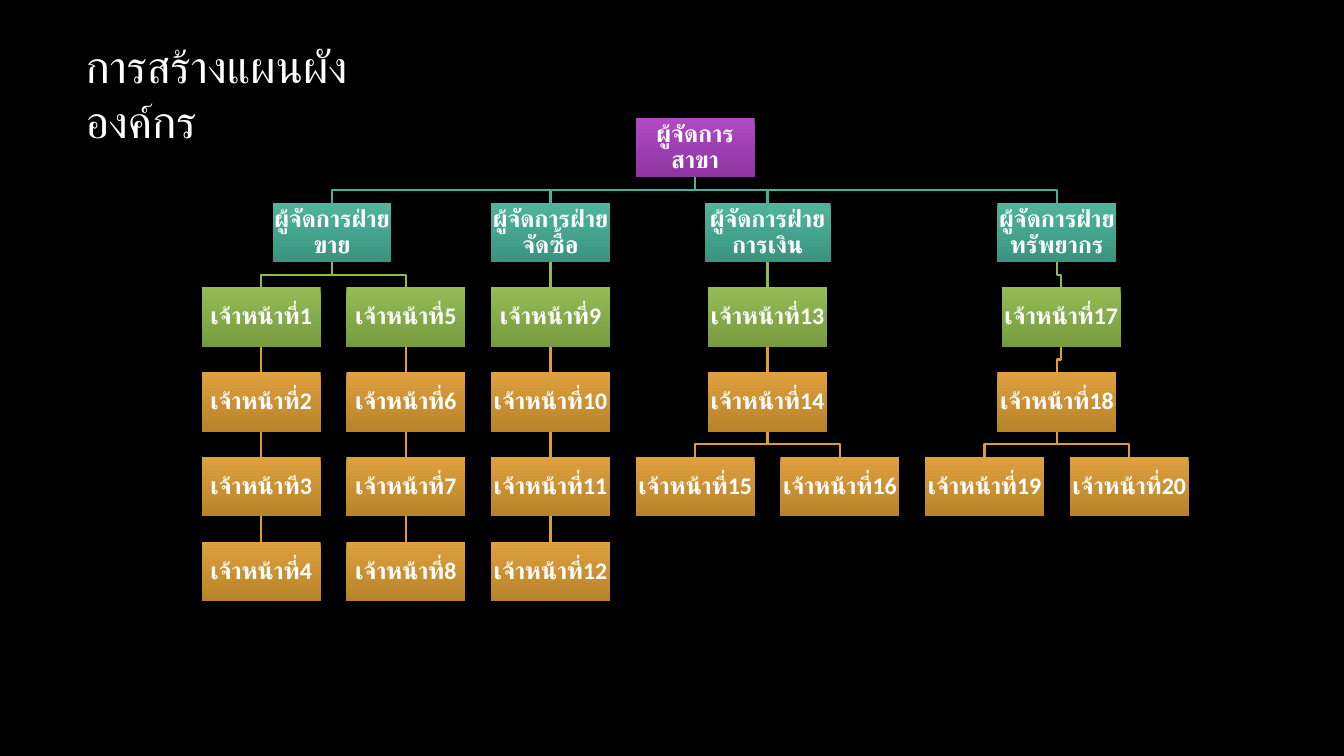
from lxml import etree
from pptx import Presentation
from pptx import util as u
from pptx.dml.color import RGBColor
from pptx.enum import shapes, text
from pptx.oxml.ns import qn

FONT = "Calibri"
BLACK = RGBColor(0x00, 0x00, 0x00)
WHITE = RGBColor(0xFF, 0xFF, 0xFF)
PURPLE = (RGBColor(0xAE, 0x4A, 0xC2), RGBColor(0x8F, 0x34, 0xA1))
TEAL = (RGBColor(0x50, 0xB4, 0x9B), RGBColor(0x3A, 0x94, 0x7F))
GREEN = (RGBColor(0x93, 0xBC, 0x55), RGBColor(0x78, 0x9B, 0x3F))
ORANGE = (RGBColor(0xDE, 0xA0, 0x40), RGBColor(0xB8, 0x83, 0x29))
TEAL_LINE = RGBColor(0x46, 0xB2, 0x98)
GREEN_LINE = RGBColor(0x90, 0xBA, 0x4C)
ORANGE_LINE = RGBColor(0xDD, 0x9D, 0x31)
LEVEL_FILLS = [PURPLE, TEAL, GREEN, ORANGE, ORANGE, ORANGE]
LEVEL_LINES = [None, TEAL_LINE, GREEN_LINE, ORANGE_LINE, ORANGE_LINE, ORANGE_LINE]

COLUMNS, ROWS = 7, 6
COLUMN_PITCH, ROW_PITCH = 1.435, 0.841
BOX_WIDTH, BOX_HEIGHT = 1.18, 0.59
WIDE_BOXES = {"ผู้จัดการฝ่ายการเงิน": 1.25}


def staff(number, column, *reports, prefix="เจ้าหน้าที่"):
    """Describe one numbered officer in a grid column."""
    return f"{prefix}{number}", column, reports


BRANCH = ("ผู้จัดการสาขา", 3, [
    ("ผู้จัดการฝ่ายขาย", 0.49, [
        staff(1, 0, staff(2, 0, staff(3, 0, staff(4, 0), prefix="เจ้าหน้าที"))),
        staff(5, 1, staff(6, 1, staff(7, 1, staff(8, 1)))),
    ]),
    ("ผู้จัดการฝ่ายจัดซื้อ", 2, [
        staff(9, 2, staff(10, 2, staff(11, 2, staff(12, 2)))),
    ]),
    ("ผู้จัดการฝ่ายการเงิน", 3.5, [
        staff(13, 3.5, staff(14, 3.5, staff(15, 3), staff(16, 4))),
    ]),
    ("ผู้จัดการฝ่ายทรัพยากร", 5.5, [
        staff(17, 5.53, staff(18, 5.5, staff(19, 5), staff(20, 6))),
    ]),
])


def style_runs(paragraph, size, bold=False):
    """Apply the white Thai lettering to a paragraph."""
    for run in paragraph.runs:
        run.font.name = FONT
        run.font.size = u.Pt(size)
        run.font.bold = bold
        run.font.color.rgb = WHITE
        properties = run.font._element
        properties.set("lang", "th-TH")
        etree.SubElement(properties, qn("a:cs")).set("typeface", FONT)


def add_title(slide, left, top, width, height):
    """Place the slide heading in the given box."""
    heading = slide.shapes.add_textbox(left, top, width, height)
    frame = heading.text_frame
    frame.word_wrap = True
    frame.vertical_anchor = text.MSO_ANCHOR.MIDDLE
    frame.text = "การสร้างแผนผังองค์กร"
    style_runs(frame.paragraphs[0], 32.4)


def add_position(slide, label, left, top, width, height, level):
    """Draw one post of the organisation as a gradient box."""
    post = slide.shapes.add_shape(
        shapes.MSO_SHAPE.RECTANGLE, left, top, width, height)
    post.shadow.inherit = False
    post.line.fill.background()
    post.fill.gradient()
    post.fill.gradient_angle = 270
    for stop, color in zip(post.fill.gradient_stops, LEVEL_FILLS[level]):
        stop.color.rgb = color
    for stop, position in zip(post.fill.gradient_stops, (0, 1)):
        stop.position = position
    frame = post.text_frame
    frame.word_wrap = True
    frame.vertical_anchor = text.MSO_ANCHOR.MIDDLE
    frame.margin_left = frame.margin_right = u.Inches(0.01)
    frame.margin_top = frame.margin_bottom = u.Inches(0.01)
    frame.text = label
    paragraph = frame.paragraphs[0]
    paragraph.alignment = text.PP_ALIGN.CENTER
    paragraph.line_spacing = 0.9
    style_runs(paragraph, 17, bold=True)
    return post


def add_reporting_line(slide, manager, report, level):
    """Join a manager's bottom side to a report's top side."""
    start_x = manager.left + manager.width // 2
    start_y = manager.top + manager.height
    end_x = report.left + report.width // 2
    end_y = report.top
    if abs(start_x - end_x) < u.Inches(0.01):
        link = slide.shapes.add_connector(
            shapes.MSO_CONNECTOR.STRAIGHT, start_x, start_y, end_x, end_y)
        link.begin_connect(manager, 2)
        link.end_connect(report, 0)
        etree.SubElement(link._element.spPr, qn("a:effectLst"))
    else:
        middle_y = (start_y + end_y) // 2
        outline = slide.shapes.build_freeform(start_x, start_y)
        outline.add_line_segments(
            [(start_x, middle_y), (end_x, middle_y), (end_x, end_y)], close=False)
        link = outline.convert_to_shape()
        link.shadow.inherit = False
        link.fill.background()
    link.line.color.rgb = LEVEL_LINES[level]
    link.line.width = u.Pt(1.5)


def add_branch(slide, branch, left, top, width, height, level=0):
    """Draw a post and everyone below it on the chart grid."""
    label, column, reports = branch
    column_pitch = (width - u.Inches(BOX_WIDTH)) / (COLUMNS - 1)
    row_pitch = (height - u.Inches(BOX_HEIGHT)) / (ROWS - 1)
    post_width = u.Inches(WIDE_BOXES.get(label, BOX_WIDTH))
    center = left + u.Inches(BOX_WIDTH) / 2 + column * column_pitch
    post = add_position(
        slide, label, int(center - post_width / 2), int(top + level * row_pitch),
        post_width, u.Inches(BOX_HEIGHT), level)
    for report in reports:
        below = add_branch(slide, report, left, top, width, height, level + 1)
        add_reporting_line(slide, post, below, level + 1)
    return post


def main():
    """Build the organisation chart slide."""
    deck = Presentation()
    deck.slide_width, deck.slide_height = u.Inches(13.33), u.Inches(7.5)
    slide = deck.slides.add_slide(deck.slide_layouts[6])
    slide.background.fill.solid()
    slide.background.fill.fore_color.rgb = BLACK
    add_title(slide, u.Inches(0.75), u.Inches(0.67), u.Inches(3.51), u.Inches(0.5))
    add_branch(
        slide, BRANCH, u.Inches(2), u.Inches(1.17),
        u.Inches(BOX_WIDTH + (COLUMNS - 1) * COLUMN_PITCH),
        u.Inches(BOX_HEIGHT + (ROWS - 1) * ROW_PITCH))
    deck.save("out.pptx")


if __name__ == "__main__":
    main()
